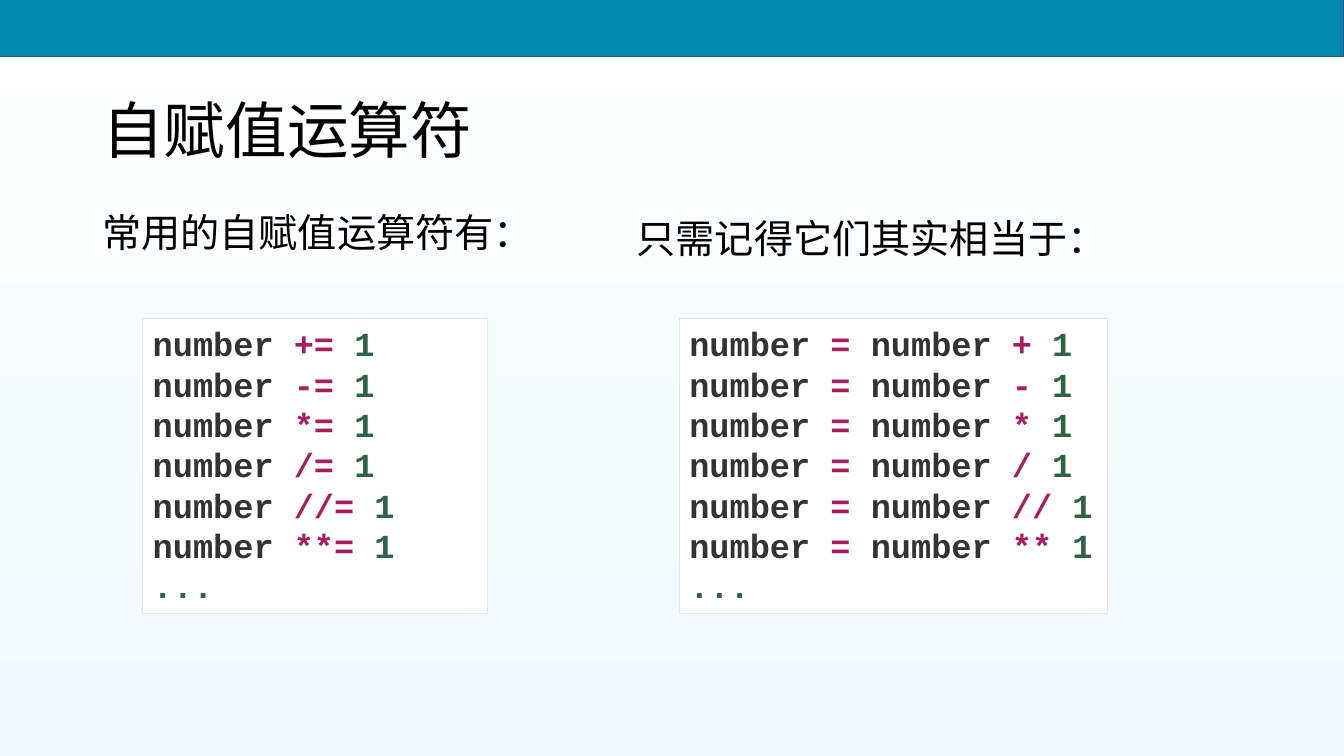
from pptx import Presentation
from pptx.dml.color import RGBColor
from pptx.enum.shapes import MSO_SHAPE
from pptx.enum.text import MSO_ANCHOR, MSO_AUTO_SIZE, PP_ALIGN
from pptx.oxml.ns import qn
from pptx.util import Pt
from lxml import etree

RECT = MSO_SHAPE.RECTANGLE
TOP = MSO_ANCHOR.TOP
MIDDLE = MSO_ANCHOR.MIDDLE
GROW = MSO_AUTO_SIZE.SHAPE_TO_FIT_TEXT
LEFT = PP_ALIGN.LEFT

PX = 9525
CODE = "Courier New"
HAN = "Noto Sans CJK SC"
COLORS = {
    "bar": "008AB1",
    "rim": "325491",
    "white": "FFFFFF",
    "sky": "F0F8FF",
    "edge": "E7E6E6",
    "black": "000000",
    "name": "333333",
    "sign": "A71D5D",
    "digit": "2E6446",
}
SIGNS = ["+", "-", "*", "/", "//", "**"]


def color(key):
    return RGBColor.from_string(COLORS[key])


def place(*box):
    return [side * PX for side in box]


def add_run(para, text, size, face, key, bold=False):
    run = para.add_run()
    run.text = text
    font = run.font
    font.size = Pt(size)
    font.name = face
    font.bold = bold
    font.color.rgb = color(key)
    east = etree.Element(qn("a:ea"), typeface=HAN)
    font._element.find(qn("a:latin")).addnext(east)


def add_rect(slide, box, fill, line, width):
    shape = slide.shapes.add_shape(RECT, *place(*box))
    shape.shadow.inherit = False
    shape.fill.solid()
    shape.fill.fore_color.rgb = color(fill)
    shape.line.color.rgb = color(line)
    shape.line.width = Pt(width)
    return shape


def add_label(slide, box, text, size, face, anchor=TOP, lead=1.0, before=0):
    frame = slide.shapes.add_textbox(*place(*box)).text_frame
    frame.word_wrap = True
    frame.vertical_anchor = anchor
    para = frame.paragraphs[0]
    para.line_spacing = lead
    para.space_before = Pt(before)
    add_run(para, text, size, face, "black")


def add_code(slide, box, lines):
    frame = add_rect(slide, box, "white", "edge", 0.75).text_frame
    frame.word_wrap = True
    frame.vertical_anchor = TOP
    frame.auto_size = GROW
    for row, line in enumerate(lines):
        para = frame.add_paragraph() if row else frame.paragraphs[0]
        para.alignment = LEFT
        for text, key in line:
            add_run(para, text, 24, CODE, key, True)


def main():
    deck = Presentation()
    deck.slide_width, deck.slide_height = place(1280, 720)
    slide = deck.slides.add_slide(deck.slide_layouts[6])

    fill = slide.background.fill
    fill.gradient()
    fill.gradient_angle = 270
    for stop, key in zip(fill.gradient_stops, ["white", "sky"]):
        stop.color.rgb = color(key)

    add_rect(slide, (-2, -2, 1282, 56), "bar", "rim", 1)
    add_label(slide, (88, 74, 1104, 106), "自赋值运算符", 44, "Montserrat", MIDDLE, 0.9)
    add_label(slide, (88, 199, 1104, 457), "常用的自赋值运算符有：", 28, CODE, TOP, 0.9, 10)

    name, one, dots = ("number ", "name"), ("1", "digit"), [("...", "digit")]
    short = [[name, (f"{sign}= ", "sign"), one] for sign in SIGNS]
    full = [[name, ("= ", "sign"), name, (f"{sign} ", "sign"), one] for sign in SIGNS]
    add_code(slide, (136, 303, 328, 281), short + [dots])
    add_code(slide, (647, 303, 408, 281), full + [dots])

    add_label(slide, (597, 199, 475, 55), "只需记得它们其实相当于：", 28, HAN)
    deck.save("out.pptx")


if __name__ == "__main__":
    main()
